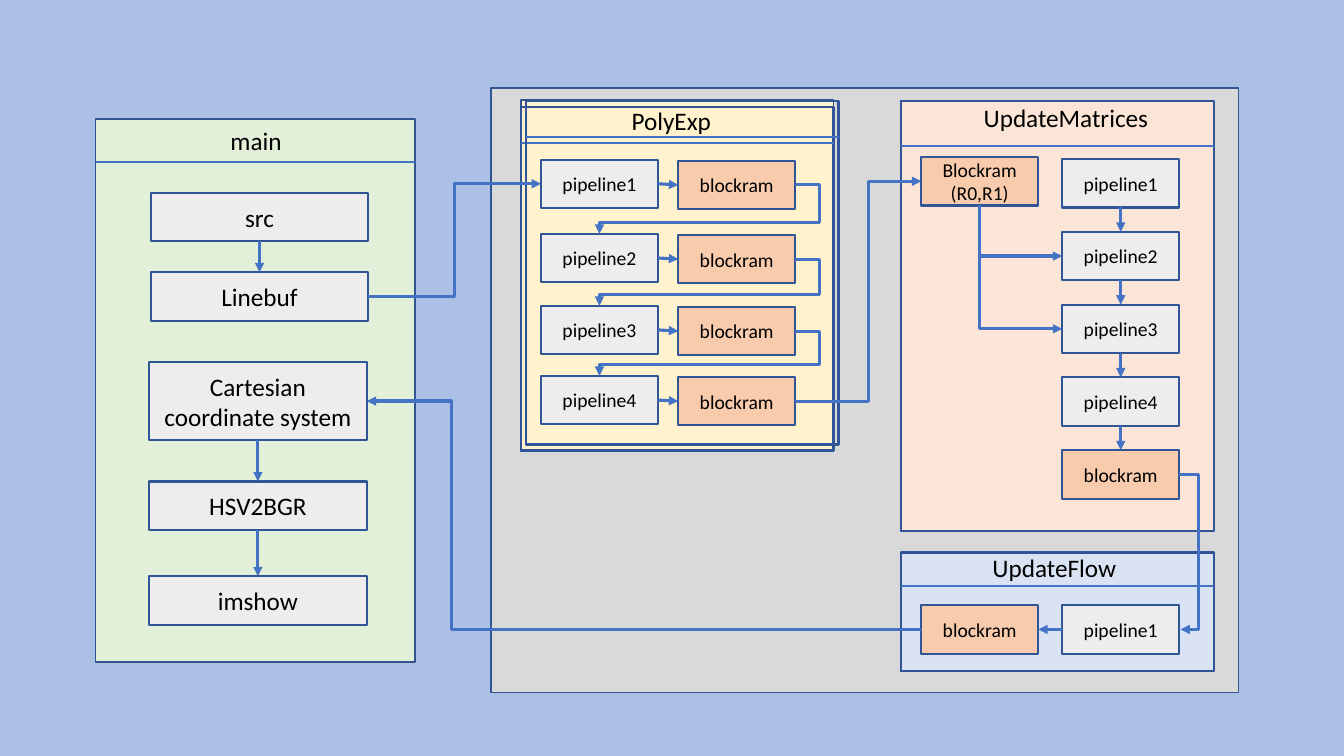
import pptx
import pptx.util
import pptx.dml.color
import pptx.enum.shapes
import pptx.enum.text
import pptx.oxml.ns
from lxml import etree

Pt = pptx.util.Pt
RGB = pptx.dml.color.RGBColor.from_string
qn = pptx.oxml.ns.qn
CONNECTOR = pptx.enum.shapes.MSO_CONNECTOR
RECTANGLE = pptx.enum.shapes.MSO_SHAPE.RECTANGLE
CENTER = pptx.enum.text.PP_ALIGN.CENTER

COLORS = {
    "background": "ABC0E4", "system": "D9D9D9", "main": "E2F0D9",
    "poly": "FFF2CC", "matrices": "FBE5D6", "flow": "DAE3F3",
    "step": "EDEDED", "memory": "F8CBAD", "text": "000000",
    "panel_line": "325491", "box_line": "2F5597", "arrow": "4472C4",
}
TOP, LEFT, BOTTOM, RIGHT = range(4)
BOX_W, BOX_H = 83.5, 34.6
MAIN_W = 155.6
PANEL_W = 223.2

deck = pptx.Presentation()
deck.slide_width, deck.slide_height = Pt(960), Pt(540)
slide = deck.slides.add_slide(deck.slide_layouts[6])
slide.background.fill.solid()
slide.background.fill.fore_color.rgb = RGB(COLORS["background"])


def rectangle(x, y, w, h, fill, line, weight, text="", size=14):
    """Draw a rectangle with optional centred text; fill None leaves it open."""
    shape = slide.shapes.add_shape(RECTANGLE, Pt(x), Pt(y), Pt(w), Pt(h))
    shape.shadow.inherit = False
    if fill:
        shape.fill.solid()
        shape.fill.fore_color.rgb = RGB(COLORS[fill])
    else:
        shape.fill.background()
    shape.line.color.rgb = RGB(COLORS[line])
    shape.line.width = Pt(weight)
    if text:
        shape.text_frame.text = text
        for paragraph in shape.text_frame.paragraphs:
            paragraph.alignment = CENTER
            paragraph.font.name = "Calibri"
            paragraph.font.size = Pt(size)
            paragraph.font.color.rgb = RGB(COLORS["text"])
    return shape


def connector(start, end, bend_x=None, bend_y=None, weight=2.25, head=True):
    """Draw a line; bend_x (and bend_y) place the turns of an elbow."""
    kind = CONNECTOR.STRAIGHT if bend_x is None else CONNECTOR.ELBOW
    line = slide.shapes.add_connector(kind, *map(Pt, start + end))
    line.line.color.rgb = RGB(COLORS["arrow"])
    line.line.width = Pt(weight)
    properties = line._element.spPr
    if head:
        etree.SubElement(properties.find(qn("a:ln")), qn("a:tailEnd"), type="triangle")
    etree.SubElement(properties, qn("a:effectLst"))
    if bend_x is not None:
        geometry = properties.find(qn("a:prstGeom"))
        guides = geometry.find(qn("a:avLst"))
        bends = [(bend_x - start[0]) / (end[0] - start[0])]
        if bend_y is not None:
            bends.append((bend_y - start[1]) / (end[1] - start[1]))
            geometry.set("prst", "bentConnector4")
        for number, share in enumerate(bends, 1):
            etree.SubElement(guides, qn("a:gd"), name=f"adj{number}",
                             fmla=f"val {round(share * 100000)}")
    return line


# Panels
for x, y, w, h, fill in [
    (350.6, 62.8, 534.2, 432, "system"),
    (68.4, 85, 228.2, 388, "main"),
    (372.2, 71.3, PANEL_W, 251.3, "poly"),
    (643.7, 394.6, PANEL_W, 85, "flow"),
    (643.7, 72, PANEL_W, 307.4, "matrices"),
]:
    rectangle(x, y, w, h, fill, "panel_line", 1)

# Frames with a rule under the title
for x, y, h, rule_y in [
    (372.2, 76.3, 245.5, 102.2),
    (375.8, 72, 245.5, 97.9),
    (643.7, 394.6, 85, 418.3),
    (643.7, 72, 307.4, 104.4),
]:
    rectangle(x, y, PANEL_W, h, None, "box_line", 1.5)
    connector((x, rule_y), (x + PANEL_W, rule_y), weight=1.5, head=False)
connector((68.4, 115.9), (296.6, 115.9), weight=1.5, head=False)

# Titles
for title, x, y, w in [
    ("main", 157, 85.7, 51.8),
    ("PolyExp", 443.5, 72, 72),
    ("UpdateMatrices", 694.8, 69.8, 133.2),
    ("UpdateFlow", 694.8, 391, 116.6),
]:
    frame = slide.shapes.add_textbox(Pt(x), Pt(y), Pt(w), Pt(29)).text_frame
    frame.word_wrap = False
    frame.auto_size = pptx.enum.text.MSO_AUTO_SIZE.SHAPE_TO_FIT_TEXT
    frame.text = title
    heading = frame.paragraphs[0]
    heading.alignment = CENTER
    heading.font.name = "Calibri"
    heading.font.size = Pt(18)
    heading.font.color.rgb = RGB(COLORS["text"])

# Steps of main
main_steps = [
    rectangle(x, y, MAIN_W, h, "step", "box_line", 1.5, text, 18)
    for text, x, y, h in [
        ("src", 107.6, 137.8, BOX_H),
        ("Linebuf", 107.6, 194.4, BOX_H),
        ("Cartesian coordinate system", 106.4, 258.5, 56),
        ("HSV2BGR", 106.4, 343.9, BOX_H),
        ("imshow", 106.4, 411.6, BOX_H),
    ]
]

# PolyExp: each pipeline feeds the block RAM beside it
poly_x, poly_memory_x = 386.5, 484.5
poly_rows = [114, 167, 218.4, 268.5]
straight_links = []
for number, y in enumerate(poly_rows, 1):
    step = rectangle(poly_x, y, BOX_W, BOX_H, "step", "box_line", 1.5, f"pipeline{number}")
    memory = rectangle(poly_memory_x, y + 0.8, BOX_W, BOX_H, "memory", "box_line", 1.5, "blockram")
    straight_links.append((step, RIGHT, memory, LEFT))

# UpdateMatrices: one column of steps ending in a block RAM
column_x, memory_x = 758.8, 658.1
matrix_top, matrix_step = 113.6, 52
matrix_column = []
for row, text in enumerate(["pipeline1", "pipeline2", "pipeline3", "pipeline4", "blockram"]):
    fill = "memory" if text == "blockram" else "step"
    matrix_column.append(rectangle(column_x, matrix_top + row * matrix_step, BOX_W, BOX_H,
                                   fill, "box_line", 1.5, text))
rectangle(memory_x, 112.2, BOX_W, BOX_H, "memory", "box_line", 1.5, "Blockram\n(R0,R1)")

# UpdateFlow
flow_y = 432.3
flow_step = rectangle(column_x, flow_y, BOX_W, BOX_H, "step", "box_line", 1.5, "pipeline1")
flow_memory = rectangle(memory_x, flow_y, BOX_W, BOX_H, "memory", "box_line", 1.5, "blockram")
straight_links.append((flow_step, LEFT, flow_memory, RIGHT))

# Straight arrows
for chain in (main_steps[:2], main_steps[2:], matrix_column):
    straight_links += [(a, BOTTOM, b, TOP) for a, b in zip(chain, chain[1:])]
for source, source_side, target, target_side in straight_links:
    arrow = connector((0, 0), (10, 10))
    arrow.begin_connect(source, source_side)
    arrow.end_connect(target, target_side)

# Elbow arrows
half = BOX_H / 2
poly_right = poly_memory_x + BOX_W
for y, next_y in zip(poly_rows, poly_rows[1:]):
    connector((poly_right, y + 0.8 + half), (poly_x + BOX_W / 2, next_y), 585.6, next_y - 8)
connector((poly_right, poly_rows[3] + 0.8 + half), (memory_x, 112.2 + half), 620.4)

trunk_x = memory_x + BOX_W / 2
pipeline2_y = matrix_top + matrix_step + half
connector((trunk_x, 112.2 + BOX_H), (column_x, pipeline2_y), trunk_x)
connector((trunk_x, pipeline2_y), (column_x, pipeline2_y + matrix_step), trunk_x)

column_right = column_x + BOX_W
connector((column_right, matrix_top + 4 * matrix_step + half),
          (column_right + 1, flow_y + half), 856.1)
connector((107.6 + MAIN_W, 194.4 + half), (poly_x, poly_rows[0] + half), 324.7)
connector((memory_x, flow_y + half), (106.4 + MAIN_W, 286.5), 322.8)

deck.save("out.pptx")
